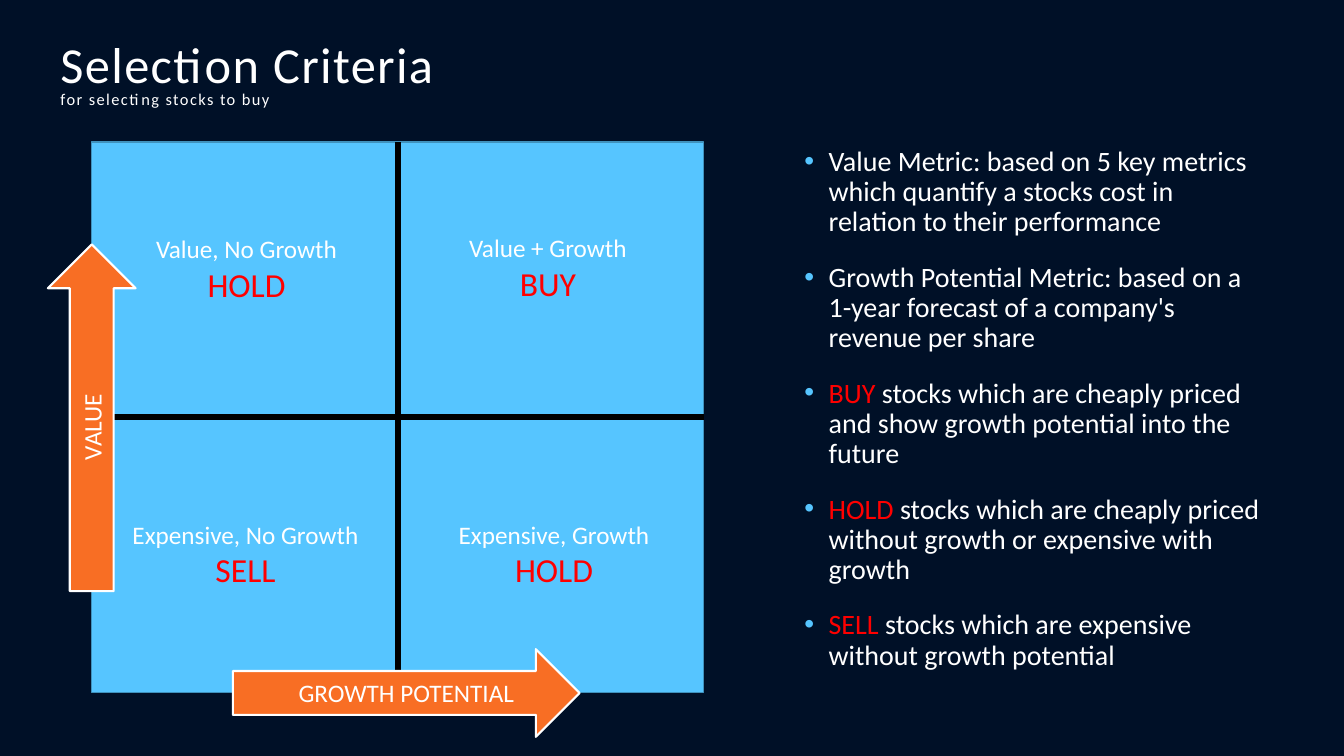
from lxml.etree import SubElement as Sub
from pptx import Presentation
from pptx.dml.color import RGBColor as RGB
from pptx.enum.shapes import MSO_CONNECTOR as Conn, MSO_SHAPE as Shape
from pptx.enum.text import MSO_ANCHOR as Anchor, MSO_AUTO_SIZE as Fit, PP_ALIGN as Align
from pptx.oxml.ns import qn
from pptx.util import Inches, Pt

NAVY = RGB(0x00, 0x10, 0x27)
SKY = RGB(0x56, 0xC5, 0xFF)
EDGE = RGB(0x40, 0x92, 0xBD)
ORANGE = RGB(0xF8, 0x6E, 0x24)
WHITE = RGB(0xFF, 0xFF, 0xFF)
BLACK = RGB(0x00, 0x00, 0x00)
RED = RGB(0xFF, 0x00, 0x00)

TITLE = ("Selection Criteria", "for selecting stocks to buy")
POINTS = [
    ("", "Value Metric: based on 5 key metrics which quantify a stocks cost "
         "in relation to their performance"),
    ("", "Growth Potential Metric: based on a 1-year forecast of a company's "
         "revenue per share"),
    ("BUY", " stocks which are cheaply priced and show growth potential into the future"),
    ("HOLD", " stocks which are cheaply priced without growth or expensive with growth"),
    ("SELL", " stocks which are expensive without growth potential"),
]
# Left and top within the grid, profile, verdict
CELLS = [
    (3.2, 0.85, "Value + Growth", "BUY"),
    (3.26, 3.69, "Expensive, Growth", "HOLD"),
    (0.2, 3.69, "Expensive, No Growth", "SELL"),
    (0.21, 0.86, "Value, No Growth", "HOLD"),
]


def inch(*sizes):
    return [Inches(size) for size in sizes]


def apply(item, form):
    for name, value in form.items():
        setattr(item, name, value)


def add_run(para, text, size, color=WHITE):
    run = para.add_run()
    run.text = text
    apply(run.font, {"name": "Calibri", "size": Pt(size), "bold": False})
    run.font.color.rgb = color
    return run


def paint(shape, fill, line, width):
    shape.shadow.inherit = False
    shape.fill.solid()
    shape.fill.fore_color.rgb = fill
    shape.line.color.rgb = line
    shape.line.width = Pt(width)


def add_label(shapes, box, lines):
    """Add a centred text box from (text, size, color) lines."""
    label = shapes.add_textbox(*inch(*box))
    frame = label.text_frame
    apply(frame, {"word_wrap": True, "auto_size": Fit.SHAPE_TO_FIT_TEXT})
    for i, line in enumerate(lines):
        para = frame.add_paragraph() if i else frame.paragraphs[0]
        para.alignment = Align.CENTER
        add_run(para, *line)
    return label


def set_title(slide, box):
    title = slide.shapes.title
    apply(title, dict(zip(("left", "top", "width", "height"), inch(*box))))
    frame = title.text_frame
    apply(frame, {"word_wrap": True, "auto_size": Fit.NONE,
                  "vertical_anchor": Anchor.MIDDLE})
    para = frame.paragraphs[0]
    apply(para, {"alignment": Align.LEFT, "line_spacing": 0.8})
    head, sub = TITLE
    runs = [add_run(para, head, 36)]
    para.add_line_break()
    runs.append(add_run(para, sub, 11.7))
    for run in runs:
        run.font._element.set("spc", "100")


def add_bullet(para):
    props = para._p.get_or_add_pPr()
    hang = Inches(0.24)
    props.set("marL", str(hang))
    props.set("indent", str(-hang))
    color = Sub(props, qn("a:buClr"))
    Sub(color, qn("a:srgbClr"), val=str(SKY))
    Sub(props, qn("a:buFont"), typeface="Arial")
    Sub(props, qn("a:buChar"), char="•")


def add_points(slide, box):
    frame = slide.shapes.add_textbox(*inch(*box)).text_frame
    frame.word_wrap = True
    for i, (verdict, text) in enumerate(POINTS):
        para = frame.add_paragraph() if i else frame.paragraphs[0]
        apply(para, {"line_spacing": 0.9, "space_before": Pt(18)})
        add_bullet(para)
        if verdict:
            add_run(para, verdict, 20, RED)
        add_run(para, text, 20)


def add_rule(slide, *ends):
    rule = slide.shapes.add_connector(Conn.STRAIGHT, *inch(*ends))
    rule.line.color.rgb = BLACK
    rule.line.width = Pt(4.5)
    Sub(rule._element.spPr, qn("a:effectLst"))


def add_grid(slide, box):
    left, top, width, height = box
    panel = slide.shapes.add_shape(Shape.RECTANGLE, *inch(*box))
    paint(panel, SKY, EDGE, 1)
    mid_x, mid_y = left + width / 2, top + height / 2
    add_rule(slide, mid_x, top, mid_x, top + height)
    add_rule(slide, left + width, mid_y, left, mid_y)
    for dx, dy, profile, verdict in CELLS:
        add_label(slide.shapes, (left + dx, top + dy, 2.65, 0.81),
                  [(profile, 18), (verdict, 24, RED)])


def add_axis(slide, box, text, turn=0, drop=0):
    """Add an arrow with its label centred on it, or drop inches lower."""
    left, top, width, height = box
    group = slide.shapes.add_group_shape()
    arrow = group.shapes.add_shape(Shape.RIGHT_ARROW, *inch(*box))
    paint(arrow, ORANGE, WHITE, 1.5)
    wide, high = 2.65, 0.4
    place = (left + (width - wide) / 2, top + (height - high) / 2 + drop, wide, high)
    label = add_label(group.shapes, place, [(text, 18)])
    arrow.rotation = label.rotation = turn


def main():
    deck = Presentation()
    apply(deck, {"slide_width": Inches(13.33), "slide_height": Inches(7.5)})
    slide = deck.slides.add_slide(deck.slide_layouts[5])
    slide.background.fill.solid()
    slide.background.fill.fore_color.rgb = NAVY
    set_title(slide, (0.5, 0.39, 10, 0.75))
    add_points(slide, (7.88, 1.41, 4.76, 3.7))
    add_grid(slide, (0.91, 1.41, 6.07, 5.46))
    add_axis(slide, (2.31, 6.44, 3.44, 0.87), "GROWTH POTENTIAL")
    add_axis(slide, (-0.81, 3.71, 3.44, 0.87), "VALUE", 270, 0.09)
    deck.save("out.pptx")


if __name__ == "__main__":
    main()
